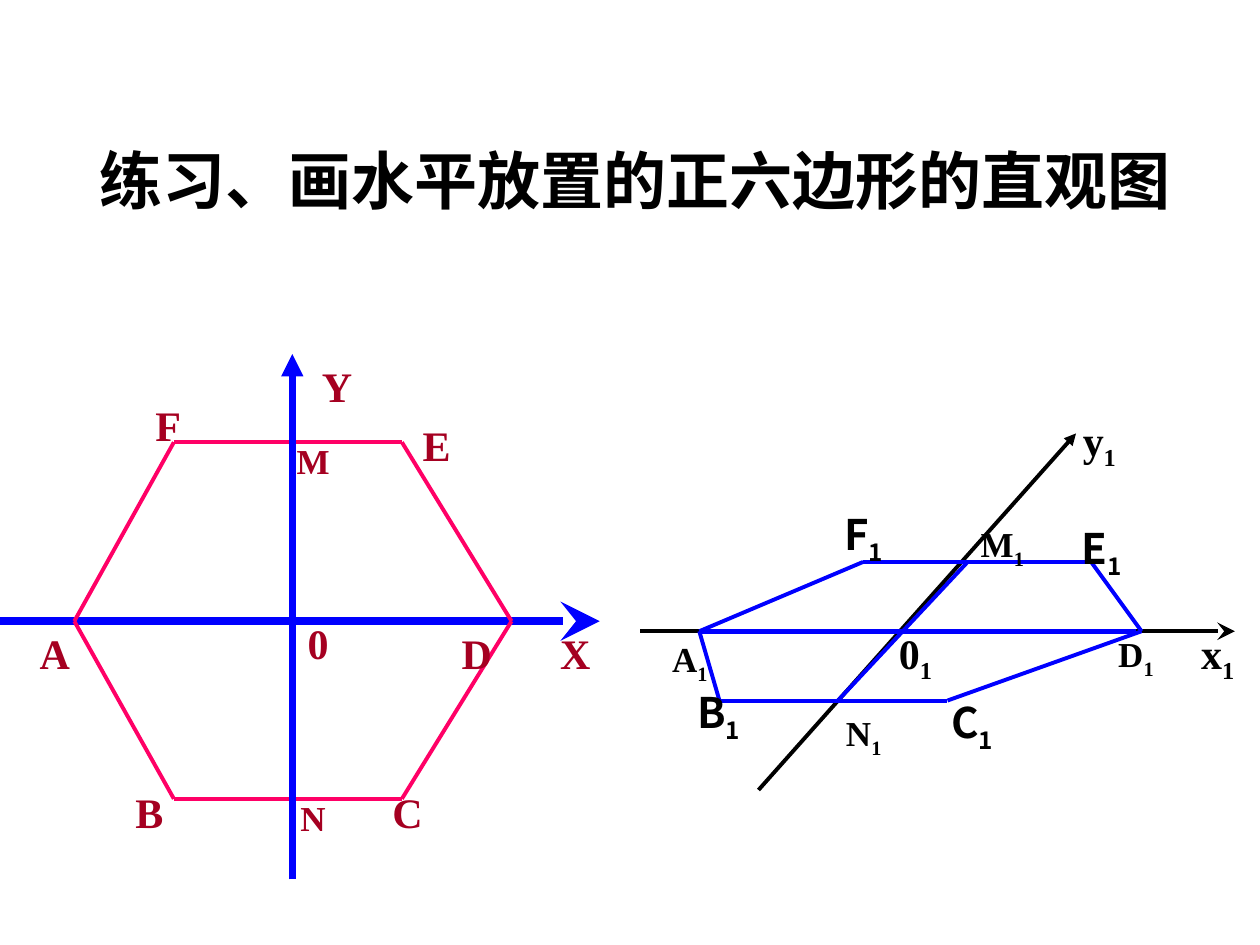
from lxml.etree import SubElement
from pptx import Presentation
from pptx.dml.color import RGBColor
from pptx.enum.shapes import MSO_CONNECTOR as Connector
from pptx.enum.text import MSO_ANCHOR as Anchor, PP_ALIGN as Align
from pptx.oxml.ns import qn
from pptx.util import Inches, Pt

BLACK = RGBColor(0x00, 0x00, 0x00)
BLUE = RGBColor(0x00, 0x00, 0xFF)
PINK = RGBColor(0xFF, 0x00, 0x66)
DARK_RED = RGBColor(0xA5, 0x00, 0x21)
SERIF = "Times New Roman"
SANS = "Noto Sans CJK SC"


def add_line(start, end, color, width, arrow=None, arrow_size="med"):
    """Draw a straight line, with an optional arrowhead at its end."""
    line = slide.shapes.add_connector(
        Connector.STRAIGHT, *(Inches(v) for v in (*start, *end)))
    line.line.color.rgb = color
    line.line.width = Pt(width)
    if arrow:
        SubElement(line.line._get_or_add_ln(), qn("a:tailEnd"),
                   type=arrow, w=arrow_size, len=arrow_size)
    SubElement(line._element.spPr, qn("a:effectLst"))


def add_label(letter, left, top, width, height, size, color,
              font=SERIF, subscript=None):
    box = slide.shapes.add_textbox(
        Inches(left), Inches(top), Inches(width), Inches(height))
    box.text_frame.word_wrap = True
    paragraph = box.text_frame.paragraphs[0]
    paragraph.alignment = Align.CENTER
    for text in filter(None, (letter, subscript)):
        run = paragraph.add_run()
        run.text = text
        run.font.name = font
        run.font.size = Pt(size)
        run.font.bold = True
        run.font.color.rgb = color
        if text == subscript:
            run.font._element.set("baseline", "-25000")


prs = Presentation()
prs.slide_width, prs.slide_height = Inches(10), Inches(7.5)
slide = prs.slides.add_slide(prs.slide_layouts[5])

# Title
title = slide.shapes.title
title.left, title.top = Inches(0.51), Inches(1.07)
title.width, title.height = Inches(9.06), Inches(0.7)
title.text_frame.word_wrap = True
title.text_frame.vertical_anchor = Anchor.MIDDLE
heading = title.text_frame.paragraphs[0]
heading.alignment = Align.CENTER
heading_run = heading.add_run()
heading_run.text = "练习、画水平放置的正六边形的直观图"
heading_run.font.name = SANS
heading_run.font.size = Pt(36)
heading_run.font.bold = True
heading_run.font.color.rgb = BLACK
SubElement(heading_run.font._element, qn("a:ea"), typeface=SANS)

# Axes of the oblique drawing, and the x axis of the flat one
add_line((5.08, 5.01), (9.8, 5.01), BLACK, 2, "stealth", "lg")
add_line((6.02, 6.27), (8.54, 3.44), BLACK, 2.25, "triangle")
add_line((0, 4.93), (4.76, 4.93), BLUE, 4.5, "stealth", "lg")

# Hexagons, corners A to F in order
flat_hexagon = [(0.59, 4.93), (1.38, 6.34), (3.19, 6.34),
                (4.06, 4.93), (3.19, 3.51), (1.38, 3.51)]
oblique_hexagon = [(5.55, 5.01), (5.71, 5.56), (7.52, 5.56),
                   (9.06, 5.01), (8.66, 4.46), (6.85, 4.46)]
for corners, color in ((flat_hexagon, PINK), (oblique_hexagon, BLUE)):
    for start, end in zip(corners, corners[1:] + corners[:1]):
        add_line(start, end, color, 2.25)

# Flat y axis, then the diagonal A1-D1 and the segment M1-N1
add_line((2.32, 6.98), (2.32, 2.81), BLUE, 4.25, "triangle")
add_line((5.55, 5.01), (9.02, 5.01), BLUE, 3)
add_line((7.68, 4.46), (6.65, 5.56), BLUE, 2.25)

# Labels of the flat drawing
for letter, left, top in (
        ("A", 0, 4.93), ("0", 2.09, 4.85), ("B", 0.75, 6.19),
        ("C", 2.8, 6.19), ("Y", 2.24, 2.81), ("X", 4.13, 4.93),
        ("E", 3.03, 3.28), ("D", 3.35, 4.93), ("F", 0.9, 3.12)):
    add_label(letter, left, top, 0.87, 0.5, 24, DARK_RED)
for letter, top in (("M", 3.44), ("N", 6.27)):
    add_label(letter, 2.09, top, 0.79, 0.44, 20, DARK_RED)

# Labels of the oblique drawing
for letter, left, top in (("A", 5.08, 5.01), ("D", 8.62, 4.97),
                          ("N", 6.46, 5.6), ("M", 7.56, 4.1)):
    add_label(letter, left, top, 0.79, 0.48, 20, BLACK, subscript="1")
for letter, left, top in (("B", 5.31, 5.4), ("C", 7.32, 5.48),
                          ("F", 6.46, 3.99), ("E", 8.35, 4.1)):
    add_label(letter, left, top, 0.79, 0.56, 24, BLACK, SANS, "1")
for letter, left, top in (("0", 6.93, 4.93), ("y", 8.39, 3.24),
                          ("x", 9.33, 4.93)):
    add_label(letter, left, top, 0.67, 0.56, 24, BLACK, subscript="1")

prs.save("out.pptx")
